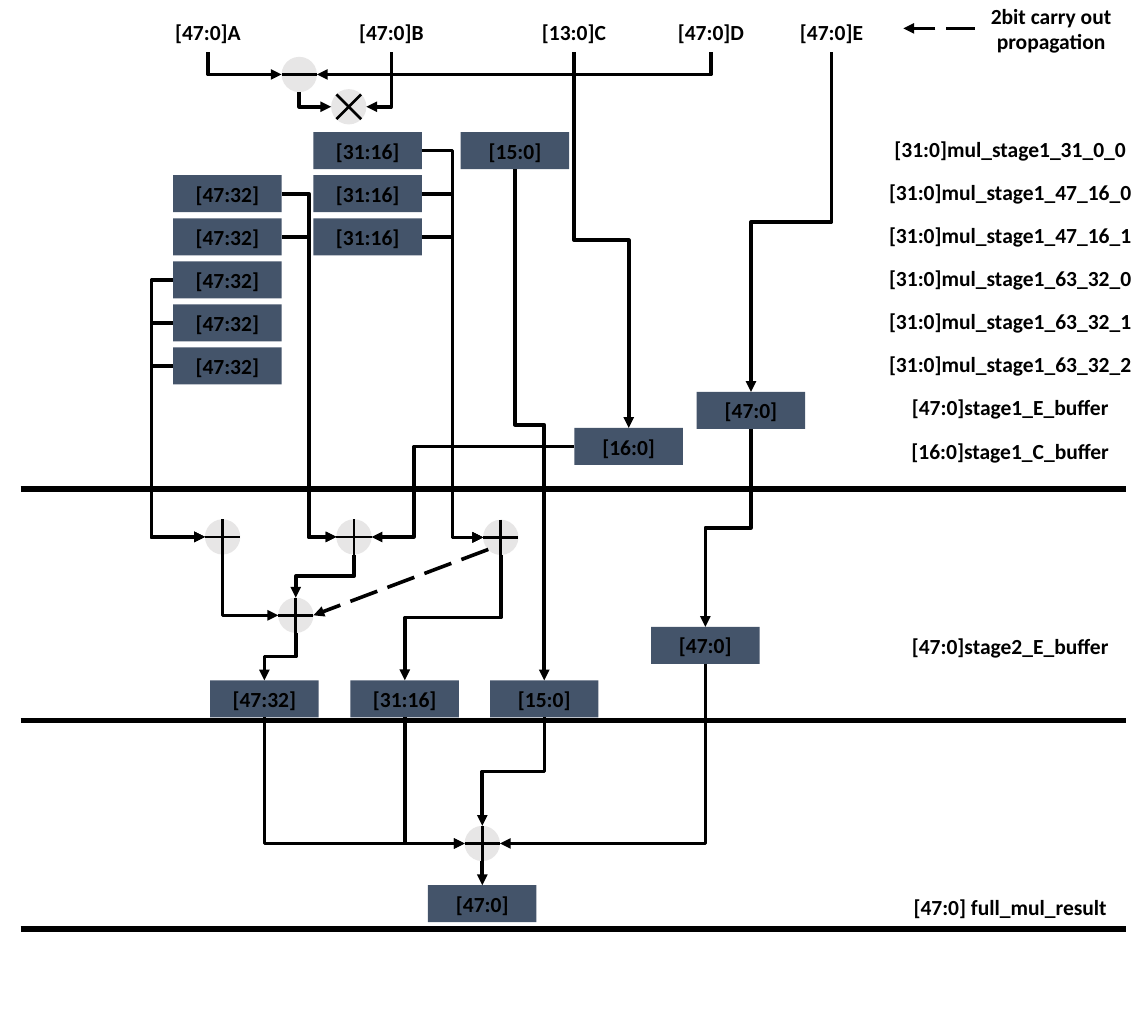
"""Draw the pipelined multiply-add datapath, measured in half-inch grid cells."""
from lxml import etree
from pptx import Presentation
from pptx import util as u
from pptx.dml.color import RGBColor
from pptx.enum import dml, shapes, text
from pptx.oxml.ns import qn

CELL = 0.5
SLIDE = (26.66, 23.62)
BOX, INPUT, LABEL, LEGEND = (2.52, 0.86), (4.26, 0.96), (6.64, 0.96), (3.3, 0.96)
DIAMETER = 0.82
BLACK, SLATE, GREY = "000000", "44546A", "E7E6E6"

INPUTS = {"A": ("[47:0]A", 4.83), "B": ("[47:0]B", 9.09), "C": ("[13:0]C", 13.33),
          "D": ("[47:0]D", 16.51), "E": ("[47:0]E", 19.31)}
INPUT_ROW = 0.74

BOXES = {f"high{i}": ("[47:32]", 5.28, 4.5 + i) for i in range(5)}
BOXES |= {f"mid{i}": ("[31:16]", 8.54, 3.5 + i) for i in range(3)}
BOXES |= {
    "low": ("[15:0]", 11.96, 3.5),
    "E1": ("[47:0]", 17.44, 9.53),
    "C1": ("[16:0]", 14.6, 10.37),
    "high": ("[47:32]", 6.14, 16.23),
    "middle": ("[31:16]", 9.4, 16.23),
    "low2": ("[15:0]", 12.64, 16.23),
    "E2": ("[47:0]", 16.38, 14.99),
    "result": ("[47:0]", 11.2, 20.99),
}

OPERATORS = {"subtract": ("-", 6.95, 1.73), "multiply": ("×", 8.1, 2.48),
             "add_high": ("+", 5.17, 12.47), "add_mid": ("+", 8.22, 12.47),
             "add_low": ("+", 11.63, 12.48), "merge": ("+", 6.87, 14.29),
             "final": ("+", 11.2, 19.59)}
STROKES = {"-": [(1, 0)], "+": [(1, 0), (0, 1)], "×": [(0.7, 0.7), (-0.7, 0.7)]}

STAGE1_LABELS = ["[31:0]mul_stage1_31_0_0", "[31:0]mul_stage1_47_16_0",
                 "[31:0]mul_stage1_47_16_1", "[31:0]mul_stage1_63_32_0",
                 "[31:0]mul_stage1_63_32_1", "[31:0]mul_stage1_63_32_2",
                 "[47:0]stage1_E_buffer", "[16:0]stage1_C_buffer"]
LABELS = [(label, 3.46 + i) for i, label in enumerate(STAGE1_LABELS)]
LABELS += [("[47:0]stage2_E_buffer", 15), ("[47:0] full_mul_result", 21.06)]
LABEL_COLUMN = 23.46
STAGE_ENDS = [11.36, 16.74, 21.58]

WIRES = [
    ("A", "bottom", "subtract", "left"), ("D", "bottom", "subtract", "right"),
    ("subtract", "bottom", "multiply", "left"), ("B", "bottom", "multiply", "right"),
    ("C", "bottom", "C1", "top"), ("E", "bottom", "E1", "top"),
    *[(f"mid{i}", "right", "add_low", "left") for i in range(3)],
    *[(f"high{i}", "right", "add_mid", "left") for i in range(2)],
    *[(f"high{i}", "left", "add_high", "left", 3.52) for i in range(2, 5)],
    ("C1", "left", "add_mid", "right", 9.61),
    ("add_high", "bottom", "merge", "left"), ("add_mid", "bottom", "merge", "top"),
    ("merge", "bottom", "high", "top"), ("add_low", "bottom", "middle", "top"),
    ("low", "bottom", "low2", "top"), ("E1", "bottom", "E2", "top"),
    ("high", "bottom", "final", "left"), ("middle", "bottom", "final", "left"),
    ("low2", "bottom", "final", "top"), ("E2", "bottom", "final", "right"),
    ("final", "bottom", "result", "top"),
]
SIDES = {"top": (0, -1), "left": (-1, 0), "bottom": (0, 1), "right": (1, 0)}


def cells(count):
    return u.Inches(count * CELL)


def color(value):
    return RGBColor.from_string(value)


def frame(x, y, size):
    width, height = size
    return [cells(v) for v in (x - width / 2, y - height / 2, width, height)]


def write(shape, content):
    text_frame = shape.text_frame
    text_frame.word_wrap = True
    text_frame.vertical_anchor = text.MSO_ANCHOR.MIDDLE
    text_frame.text = content
    for paragraph in text_frame.paragraphs:
        paragraph.alignment = text.PP_ALIGN.CENTER
        font = paragraph.runs[0].font
        font.name, font.size, font.bold = "Calibri", u.Pt(18), True
        font.color.rgb = color(BLACK)


def add_text(slide, content, x, y, size):
    shape = slide.shapes.add_textbox(*frame(x, y, size))
    write(shape, content)
    return shape


def add_filled(parent, preset, x, y, size, fill):
    shape = parent.shapes.add_shape(preset, *frame(x, y, size))
    shape.shadow.inherit = False
    shape.fill.solid()
    shape.fill.fore_color.rgb = color(fill)
    shape.line.fill.background()
    return shape


def style(connector, width, arrow=False, dashed=False):
    connector.line.color.rgb = color(BLACK)
    connector.line.width = u.Pt(width)
    if dashed:
        connector.line.dash_style = dml.MSO_LINE.LONG_DASH
    properties = connector.element.spPr
    if arrow:
        etree.SubElement(properties.find(qn("a:ln")), qn("a:tailEnd"), type="triangle")
    etree.SubElement(properties, qn("a:effectLst"))


def add_line(parent, start, end, width, **look):
    connector = parent.shapes.add_connector(
        shapes.MSO_CONNECTOR.STRAIGHT, *[cells(v) for v in (*start, *end)])
    style(connector, width, **look)
    return connector


def add_operator(slide, sign, x, y):
    group = slide.shapes.add_group_shape()
    circle = add_filled(group, shapes.MSO_SHAPE.OVAL, x, y, (DIAMETER, DIAMETER), GREY)
    for dx, dy in STROKES[sign]:
        dx, dy = dx * DIAMETER / 2, dy * DIAMETER / 2
        add_line(group, (x - dx, y - dy), (x + dx, y + dy), 2.25)
    return circle


def port(shape, side):
    dx, dy = SIDES[side]
    return (shape.left + shape.width * (1 + dx) // 2,
            shape.top + shape.height * (1 + dy) // 2)


def join(connector, source, side, target, target_side):
    connector.begin_connect(source, 0)
    connector.end_connect(target, 0)
    for tag, shape, name in (("a:stCxn", source, side), ("a:endCxn", target, target_side)):
        step = 2 if shape.auto_shape_type_is_oval else 1
        site = list(SIDES).index(name) * step
        next(connector.element.iter(qn(tag))).set("idx", str(site))


class Node:
    """A drawn shape with the facts that wires need."""

    def __init__(self, shape, oval=False):
        self.shape, self.auto_shape_type_is_oval = shape, oval
        self.left, self.top = shape.left, shape.top
        self.width, self.height, self.shape_id = shape.width, shape.height, shape.shape_id


def add_wire(slide, nodes, source, side, target, target_side, bend=None):
    source, target = nodes[source], nodes[target]
    (x1, y1), (x2, y2) = port(source, side), port(target, target_side)
    straight = x1 == x2
    kind = shapes.MSO_CONNECTOR.STRAIGHT if straight else shapes.MSO_CONNECTOR.ELBOW
    connector = slide.shapes.add_connector(kind, x1, y1, x2, y2)
    join(connector, source, side, target, target_side)
    width, height = abs(x2 - x1), abs(y2 - y1)
    turn, flip_h, flip_v = 0, False, False
    if side == "left":
        turn, flip_h, flip_v = 180, x2 > x1, True
    elif side == "bottom" and not straight:
        width, height = height, width
        turn, flip_h = (270, True) if x2 > x1 else (90, False)
    connector.left, connector.top = (x1 + x2 - width) // 2, (y1 + y2 - height) // 2
    connector.width, connector.height = width, height
    transform = connector.element.spPr.find(qn("a:xfrm"))
    for name, value in (("rot", turn * 60000), ("flipH", int(flip_h)), ("flipV", int(flip_v))):
        transform.set(name, str(value))
    geometry = connector.element.spPr.find(qn("a:prstGeom"))
    if side == "bottom" and target_side in ("left", "right"):
        geometry.set("prst", "bentConnector2")
    elif bend:
        share = round((cells(bend) - x1) / (x2 - x1) * 100000)
        etree.SubElement(geometry.find(qn("a:avLst")), qn("a:gd"), name="adj1", fmla=f"val {share}")
    style(connector, 3, arrow=True)


def main():
    presentation = Presentation()
    presentation.slide_width, presentation.slide_height = map(cells, SLIDE)
    slide = presentation.slides.add_slide(presentation.slide_layouts[6])
    nodes = {}
    for name, (content, x) in INPUTS.items():
        nodes[name] = Node(add_text(slide, content, x, INPUT_ROW, INPUT))
    for name, (content, x, y) in BOXES.items():
        shape = add_filled(slide, shapes.MSO_SHAPE.RECTANGLE, x, y, BOX, SLATE)
        write(shape, content)
        nodes[name] = Node(shape)
    for name, place in OPERATORS.items():
        nodes[name] = Node(add_operator(slide, *place), oval=True)
    for content, y in LABELS:
        add_text(slide, content, LABEL_COLUMN, y, LABEL)
    for y in STAGE_ENDS:
        add_line(slide, (0.48, y), (26.14, y), 4.5)
    for wire in WIRES:
        add_wire(slide, nodes, *wire)
    add_text(slide, "2bit carry out\npropagation", 24.41, 0.66, LEGEND)
    for start, end in (((11.34, 12.76), (7.28, 14.29)), ((22.64, 0.66), (20.98, 0.66))):
        add_line(slide, start, end, 3, arrow=True, dashed=True)
    presentation.save("out.pptx")


if __name__ == "__main__":
    main()
